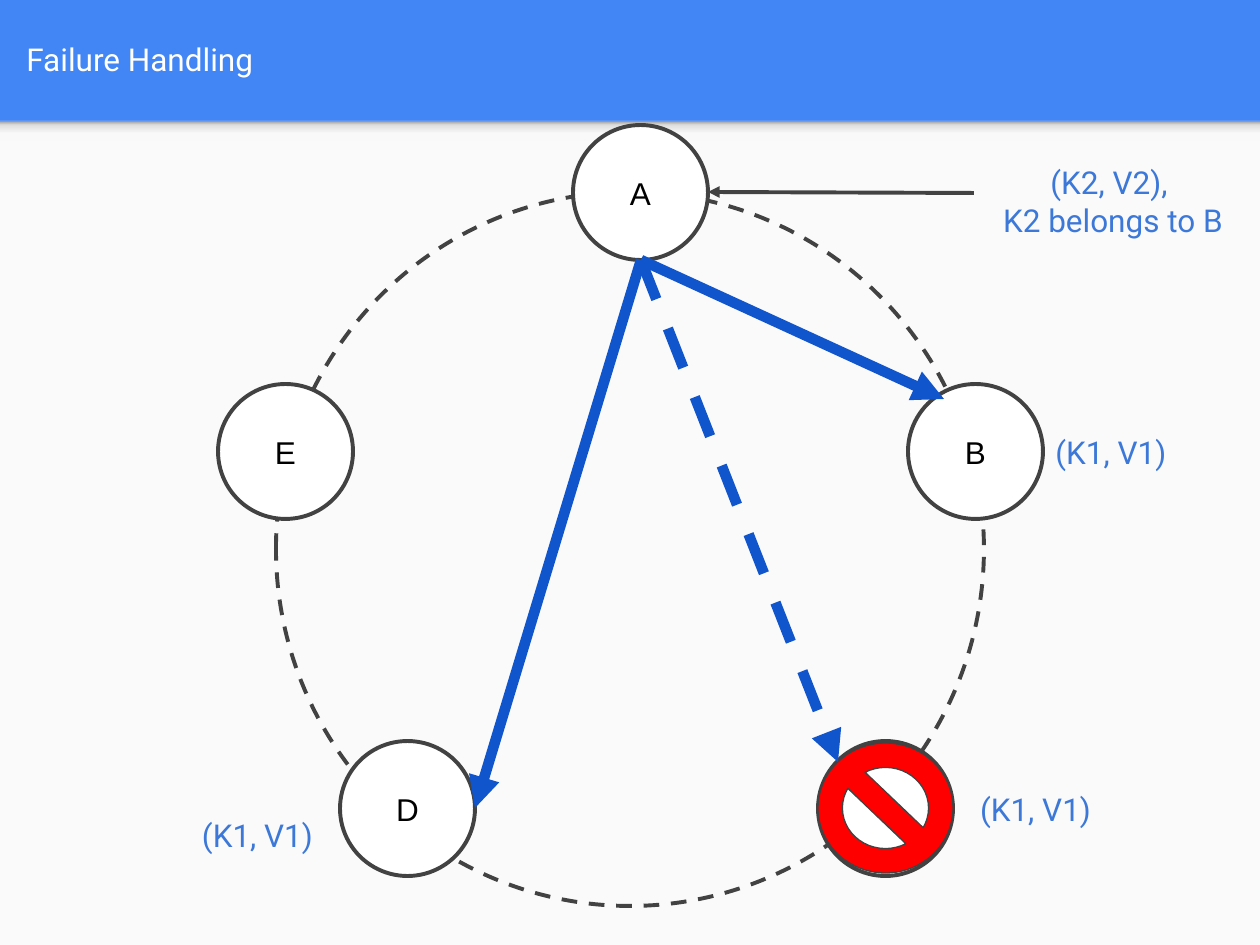
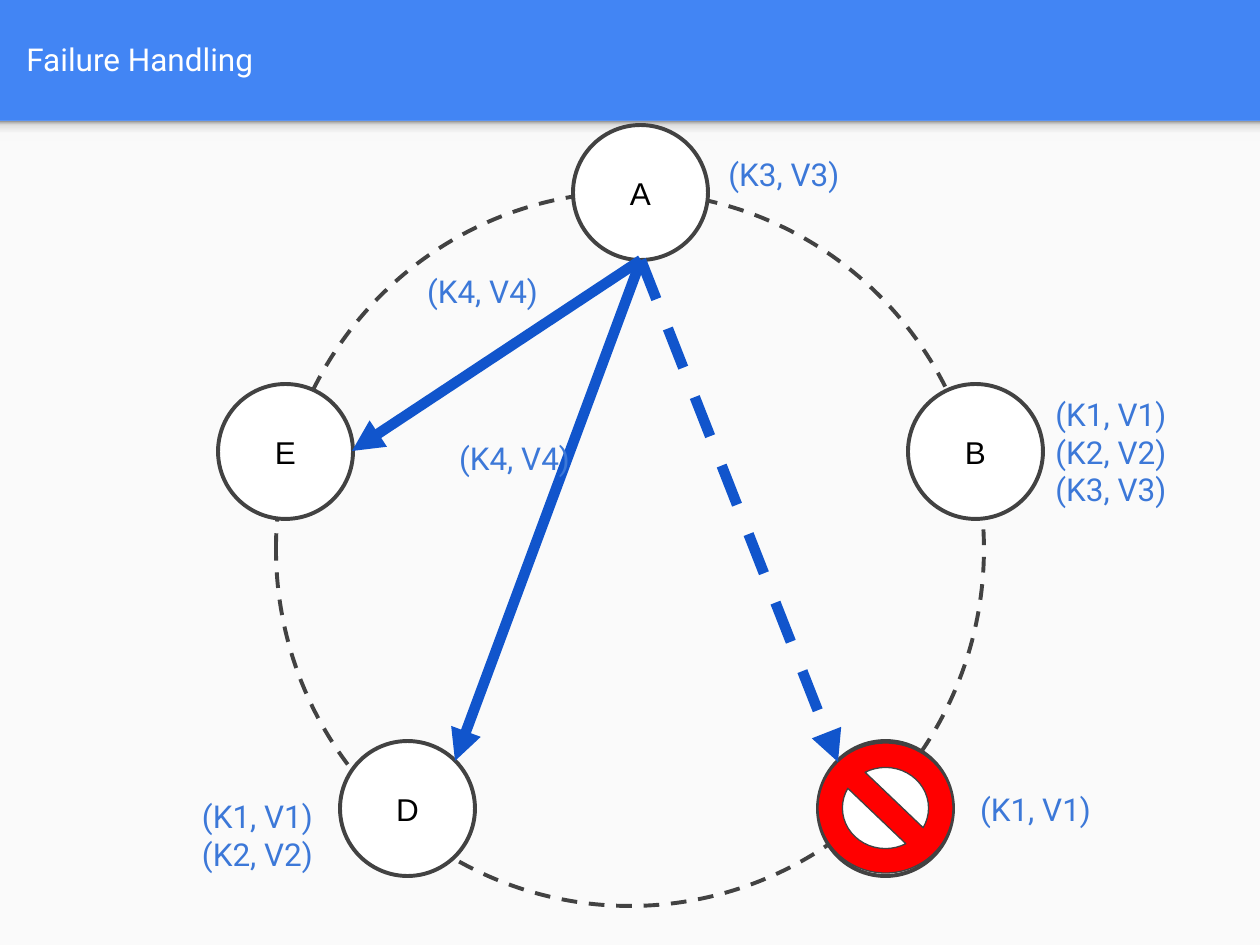
import lxml.etree
import pptx
import pptx.dml.color
import pptx.enum.dml
import pptx.enum.shapes
import pptx.enum.text
import pptx.oxml.ns
import pptx.util

PIXEL = 914400 / 126
WIDTH, HEIGHT = 1260, 945
BLUE, PAPER, WHITE, BLACK = "4285F4", "FAFAFA", "FFFFFF", "000000"
OUTLINE, MESSAGE, DATA, FAILED = "424242", "1155CC", "3C78D8", "FF0000"
BAND_SHADOW = [(0, "F9F9F9"), (36, "F9F9F9"), (80, "DEDEDE"), (100, "999999")]
BAND_HEIGHT = 121

NODE_SIZE = 135
NODES = [("A", 573, 125), ("B", 908, 384), ("", 818, 741), ("D", 340, 741), ("E", 218, 384)]
NODE_A_BOTTOM = (641, 260)
FAILED_NODE_EDGE = (838, 762)

SHAPE = pptx.enum.shapes.MSO_SHAPE
LEFT = pptx.enum.text.PP_ALIGN.LEFT
CENTER = pptx.enum.text.PP_ALIGN.CENTER
qn = pptx.oxml.ns.qn

# Labels: text, left, top, width, alignment
# Arrows: start, end, colour, width in points, dashed
SLIDES = [
    {
        "stored": [
            ("(K1, V1)", 1043, 412, 161, LEFT),
            ("(K1, V1)", 944, 769, 183, CENTER),
            ("(K1, V1)", 173, 795, 169, CENTER),
        ],
        "arrows": [
            (NODE_A_BOTTOM, (475, 808), MESSAGE, 6, False),
            (NODE_A_BOTTOM, (944, 399), MESSAGE, 6, False),
            ((974, 193), (708, 192), OUTLINE, 2.25, False),
            (NODE_A_BOTTOM, FAILED_NODE_EDGE, MESSAGE, 6, True),
        ],
        "sent": [("(K2, V2), \vK2 belongs to B", 974, 161, 278, CENTER)],
    },
    {
        "stored": [
            ("(K1, V1)\n(K2, V2)\n(K3, V3)", 1043, 412, 161, LEFT),
            ("(K1, V1)", 944, 769, 183, CENTER),
            ("(K1, V1)\n(K2, V2)", 173, 795, 169, CENTER),
            ("(K3, V3)", 716, 134, 161, LEFT),
        ],
        "arrows": [
            (NODE_A_BOTTOM, (455, 761), MESSAGE, 6, False),
            (NODE_A_BOTTOM, (352, 451), MESSAGE, 6, False),
            (NODE_A_BOTTOM, FAILED_NODE_EDGE, MESSAGE, 6, True),
        ],
        "sent": [
            ("(K4, V4)", 391, 251, 183, CENTER),
            ("(K4, V4)", 423, 418, 183, CENTER),
        ],
    },
]


def paint(target, color):
    """Give a fill or line format one solid colour."""
    fill = getattr(target, "fill", target)
    fill.solid()
    fill.fore_color.rgb = pptx.dml.color.RGBColor.from_string(color)


def add_box(slide, box, kind=None, fill=None, line=None, line_width=2.25,
            text="", font="Roboto", color=DATA, align=CENTER):
    """Add a preset shape, or a text box if no kind is given; box is in pixels."""
    place = [round(length * PIXEL) for length in box]
    if kind is None:
        shape = slide.shapes.add_textbox(*place)
    else:
        shape = slide.shapes.add_shape(kind, *place)
        shape.shadow.inherit = False
        if fill:
            paint(shape.fill, fill)
        else:
            shape.fill.background()
        if line:
            paint(shape.line, line)
            shape.line.width = pptx.util.Pt(line_width)
        else:
            shape.line.fill.background()
    if text:
        frame = shape.text_frame
        frame.word_wrap = True
        frame.vertical_anchor = pptx.enum.text.MSO_ANCHOR.MIDDLE
        frame.margin_left = frame.margin_right = pptx.util.Inches(0.1)
        frame.margin_top = frame.margin_bottom = pptx.util.Inches(0.1)
        frame.text = text
        for paragraph in frame.paragraphs:
            paragraph.alignment = align
            paragraph.font.name = font
            paragraph.font.size = pptx.util.Pt(18)
            paint(paragraph.font, color)
    return shape


deck = pptx.Presentation()
deck.slide_width = round(WIDTH * PIXEL)
deck.slide_height = round(HEIGHT * PIXEL)

for content in SLIDES:
    slide = deck.slides.add_slide(deck.slide_layouts[6])

    # Title band above a pale page, with a soft shadow under its edge
    paint(slide.background.fill, BLUE)
    add_box(slide, (0, BAND_HEIGHT, WIDTH, HEIGHT - BAND_HEIGHT), SHAPE.RECTANGLE, PAPER)
    band_shadow = add_box(slide, (0, BAND_HEIGHT, WIDTH, 20), SHAPE.RECTANGLE)
    band_shadow.fill.gradient()
    band_shadow.fill.gradient_angle = 90
    stops = band_shadow.element.spPr.find(".//" + qn("a:gsLst"))
    for stop in list(stops):
        stops.remove(stop)
    for percent, shade in BAND_SHADOW:
        stop = lxml.etree.SubElement(stops, qn("a:gs"), pos=str(percent * 1000))
        lxml.etree.SubElement(stop, qn("a:srgbClr"), val=shade)
    add_box(slide, (14, 3, 1216, 111), text="Failure Handling", color=WHITE, align=LEFT)

    # Ring of nodes, one of them failed
    ring = add_box(slide, (276, 192, 708, 714), SHAPE.OVAL, line=OUTLINE)
    ring.line.dash_style = pptx.enum.dml.MSO_LINE.DASH
    for name, left, top in NODES:
        add_box(slide, (left, top, NODE_SIZE, NODE_SIZE), SHAPE.OVAL, WHITE, OUTLINE,
                text=name, font="Arial", color=BLACK)
    for text, left, top, width, align in content["stored"]:
        add_box(slide, (left, top, width, 79), text=text, align=align)
    failure = add_box(slide, (818, 743, NODE_SIZE, 130), SHAPE.NO_SYMBOL,
                      FAILED, OUTLINE, 0.75)
    failure.adjustments[0] = 0.188

    # Messages between the nodes
    for start, end, color, width, dashed in content["arrows"]:
        ends = [round(length * PIXEL) for length in start + end]
        arrow = slide.shapes.add_connector(pptx.enum.shapes.MSO_CONNECTOR.STRAIGHT, *ends)
        paint(arrow.line, color)
        arrow.line.width = pptx.util.Pt(width)
        if dashed:
            arrow.line.dash_style = pptx.enum.dml.MSO_LINE.DASH
        properties = arrow.element.spPr
        lxml.etree.SubElement(properties.find(qn("a:ln")), qn("a:tailEnd"), type="triangle")
        lxml.etree.SubElement(properties, qn("a:effectLst"))
    for text, left, top, width, align in content["sent"]:
        add_box(slide, (left, top, width, 79), text=text, align=align)

deck.save("out.pptx")
